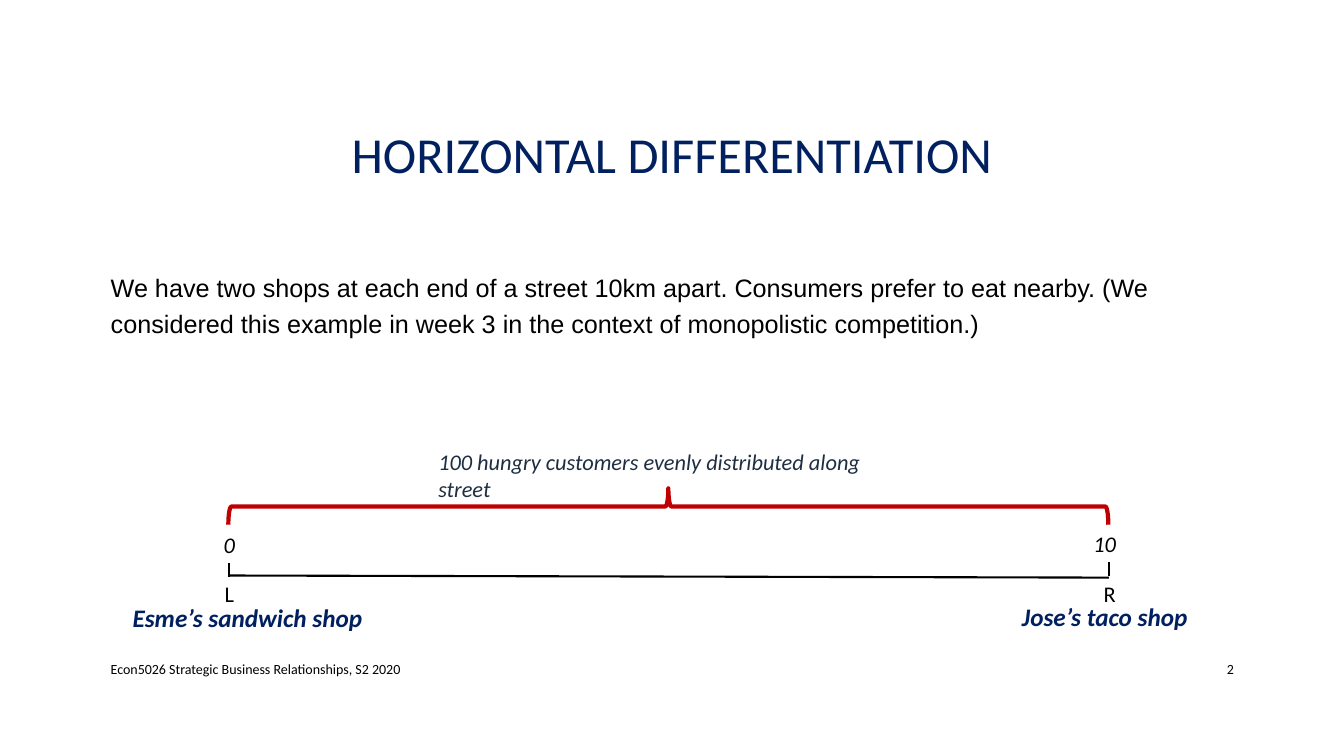
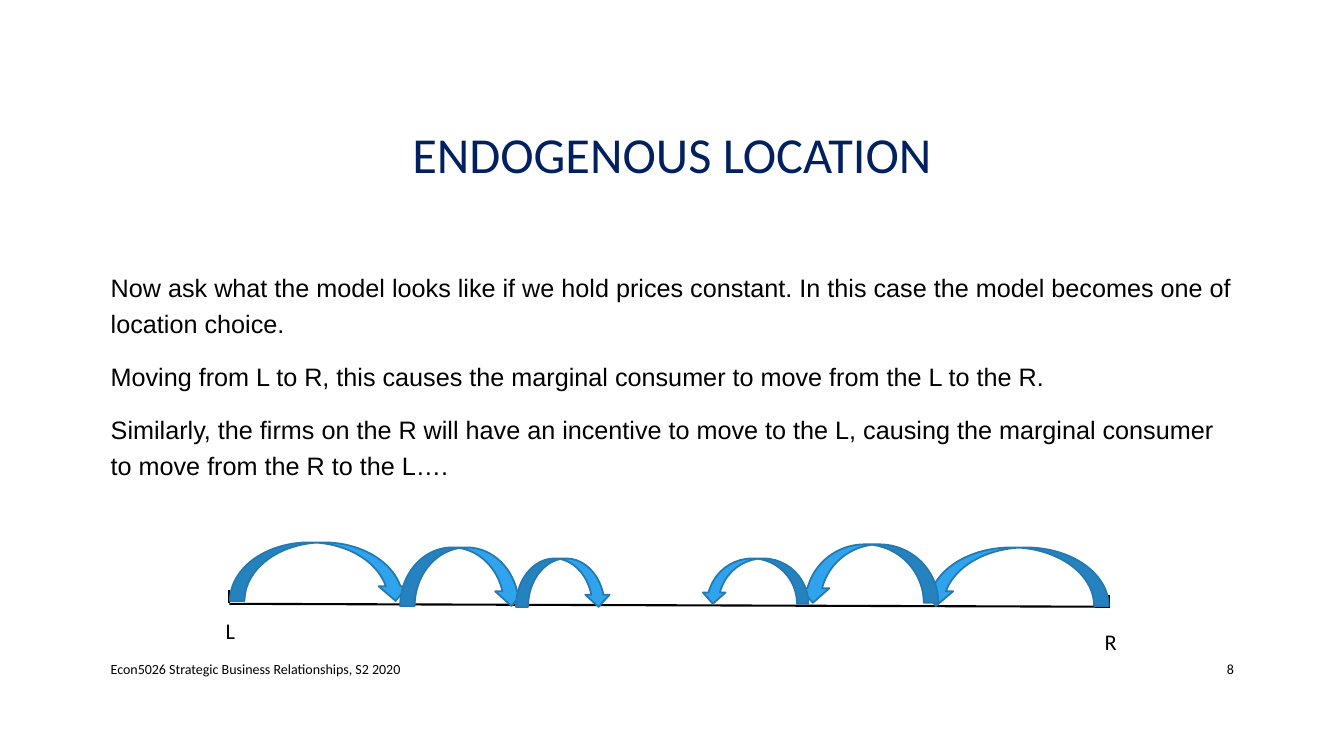
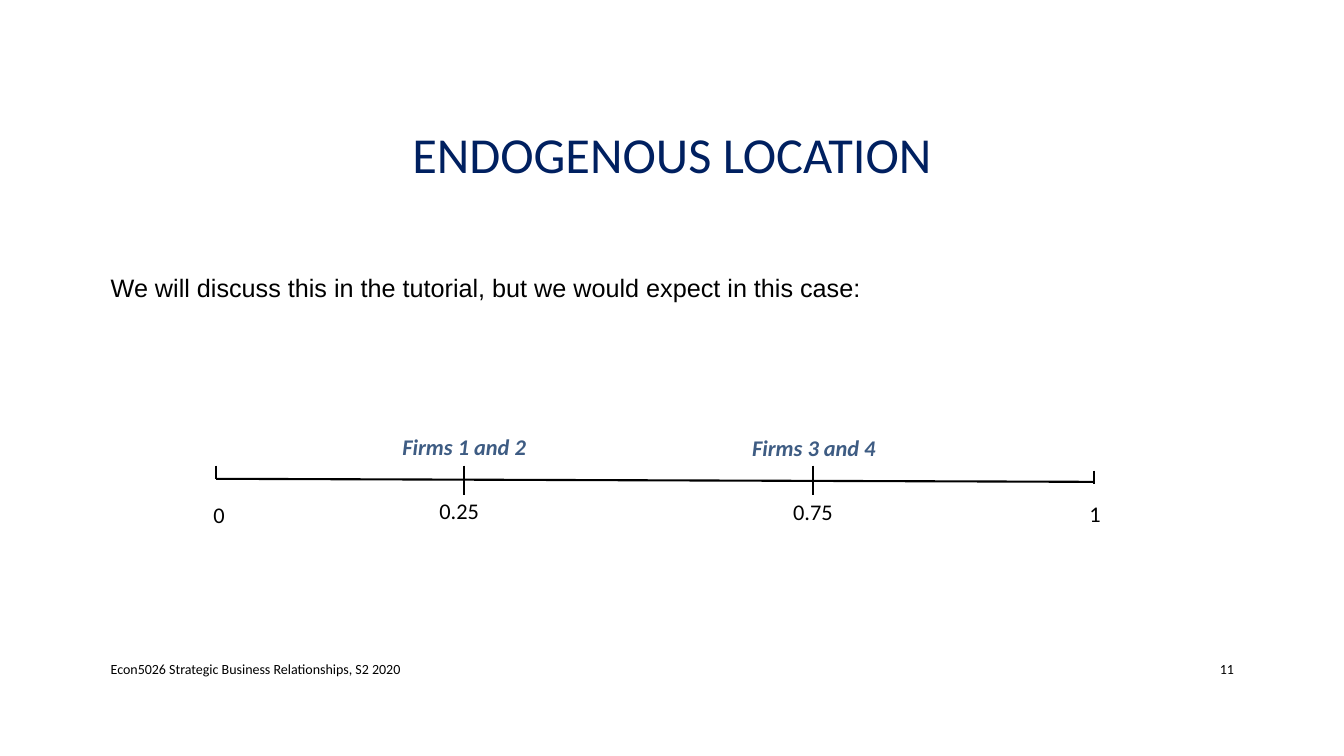
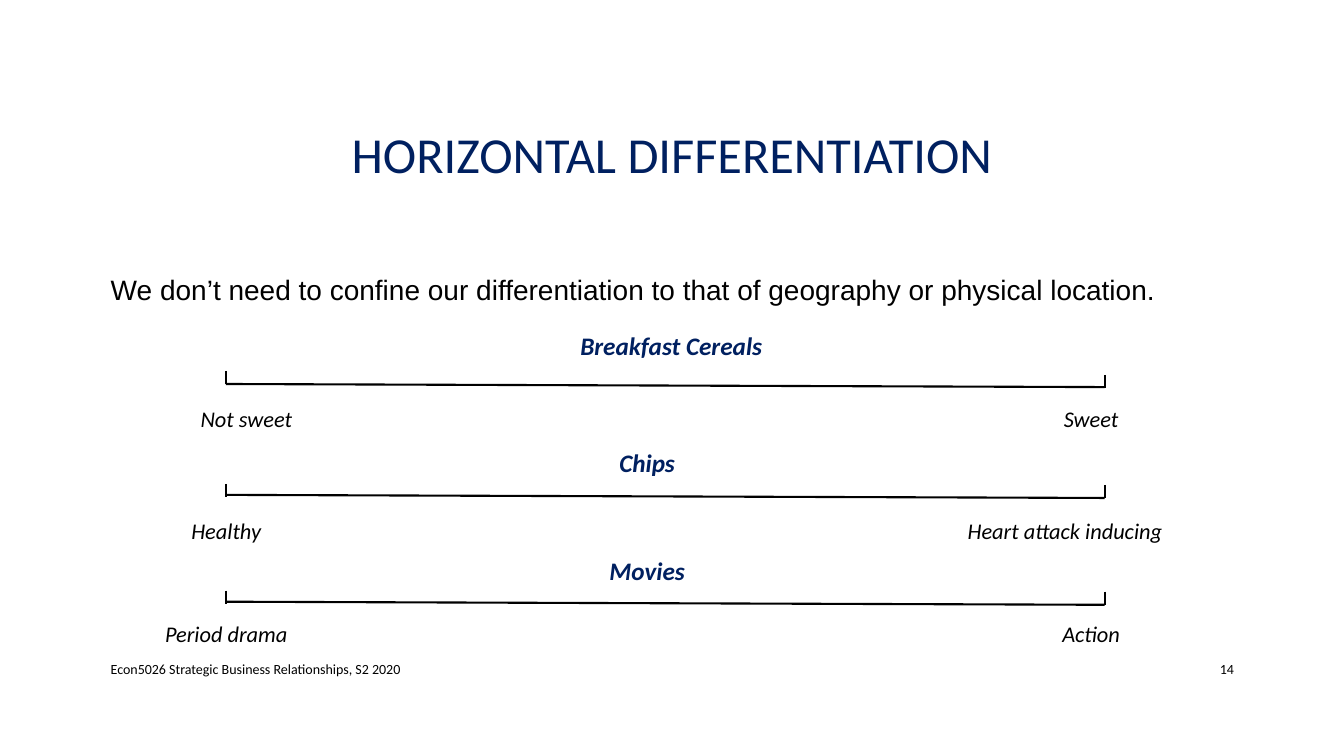
from pptx import Presentation
from pptx.dml.color import RGBColor
from pptx.enum.shapes import MSO_CONNECTOR, MSO_SHAPE
from pptx.enum.text import MSO_ANCHOR as Anchor, PP_ALIGN as Align
from pptx.oxml.ns import qn
from pptx.util import Pt
from lxml import etree

COLORS = {
    "navy": "002060", "black": "000000", "slate": "1F2E41", "steel": "3E5C83",
    "red": "C00000", "arrow": "2FA3EE", "arrow_line": "2379B0",
}
FOOTER = "Econ5026 Strategic Business Relationships, S2 2020"
TICK = 9.4

PLAIN = dict(size=16)
ITALIC = dict(size=16, italic=True, align=Align.CENTER)
CAPTION = dict(size=16, italic=True, color="slate")
FIRMS = dict(size=16, bold=True, italic=True, color="steel", align=Align.CENTER)
HEADING = dict(size=18, bold=True, italic=True, color="navy", align=Align.CENTER)


def add_text(slide, text, left, top, width, height, *, size, font="Calibri",
             color="black", bold=False, italic=False, align=Align.LEFT,
             anchor=Anchor.TOP, line_spacing=1.0, space_before=0):
    """Add a text box; each line of text becomes a paragraph."""
    box = slide.shapes.add_textbox(Pt(left), Pt(top), Pt(width), Pt(height))
    frame = box.text_frame
    frame.word_wrap = True
    frame.vertical_anchor = anchor
    frame.text = text
    for paragraph in frame.paragraphs:
        paragraph.alignment = align
        paragraph.line_spacing = line_spacing
        paragraph.space_before = Pt(space_before)
        style = paragraph.runs[0].font
        style.name, style.size = font, Pt(size)
        style.bold, style.italic = bold, italic
        style.color.rgb = RGBColor.from_string(COLORS[color])


def add_line(slide, x1, y1, x2, y2):
    line = slide.shapes.add_connector(
        MSO_CONNECTOR.STRAIGHT, Pt(x1), Pt(y1), Pt(x2), Pt(y2))
    line.line.width = Pt(1.5)
    line.line.color.rgb = RGBColor.from_string(COLORS["black"])
    etree.SubElement(line._element.spPr, qn("a:effectLst"))


presentation = Presentation()
presentation.slide_width, presentation.slide_height = Pt(960), Pt(540)

# Title, page number, body size, space before paragraphs, body
pages = [
    ("HORIZONTAL DIFFERENTIATION", "2", 18, 6,
     "We have two shops at each end of a street 10km apart. Consumers prefer to "
     "eat nearby. (We considered this example in week 3 in the context of "
     "monopolistic competition.)"),
    ("ENDOGENOUS LOCATION", "8", 18, 12,
     "Now ask what the model looks like if we hold prices constant. In this case "
     "the model becomes one of location choice.\n"
     "Moving from L to R, this causes the marginal consumer to move from the L "
     "to the R.\n"
     "Similarly, the firms on the R will have an incentive to move to the L, "
     "causing the marginal consumer to move from the R to the L…."),
    ("ENDOGENOUS LOCATION", "11", 18, 12,
     "We will discuss this in the tutorial, but we would expect in this case:"),
    ("HORIZONTAL DIFFERENTIATION", "14", 20, 6,
     "We don’t need to confine our differentiation to that of geography or "
     "physical location."),
]
slides = []
for title, number, body_size, space, body in pages:
    slide = presentation.slides.add_slide(presentation.slide_layouts[6])
    add_text(slide, title, 72, 49, 816, 126, size=36, color="navy",
             align=Align.CENTER, anchor=Anchor.MIDDLE, line_spacing=0.9)
    add_text(slide, body, 72, 186.5, 816, 269, size=body_size, font="Arial",
             line_spacing=1.2, space_before=space)
    add_text(slide, FOOTER, 72, 463, 526, 29, size=10, anchor=Anchor.MIDDLE)
    add_text(slide, number, 828, 463, 60.5, 29, size=10, align=Align.RIGHT,
             anchor=Anchor.MIDDLE)
    slides.append(slide)
street, moves, firms, products = slides

# Axes: slide, left, right, left y, right y, top of left tick, top of right tick
axes = [
    (street, 163.4, 792, 411.1, 412.6, 402.5, 401.8),
    (moves, 163.8, 792, 431.3, 433.4, 421.2, 424.8),
    (firms, 154.4, 781.6, 342, 344.2, 332.6, 336.2),
    (products, 161.3, 789.1, 274.3, 276.5, 265, 267.8),
    (products, 161.3, 789.1, 353.5, 355.7, 345.6, 346.3),
    (products, 161.3, 789.1, 429.8, 432, 421.9, 422.6),
]
for slide, left, right, left_y, right_y, left_tick, right_tick in axes:
    add_line(slide, left, left_y, right, right_y)
    add_line(slide, left, left_tick, left, left_tick + TICK)
    add_line(slide, right, right_tick, right, right_tick + TICK)
for x in (331.2, 581):
    add_line(firms, x, 332.6, x, 353.5)

# Labels: slide, text, left, top, width, style
labels = [
    (street, "R", 781.2, 411.1, 31, PLAIN),
    (street, "L", 153.4, 411.1, 20.2, PLAIN),
    (street, "100 hungry customers evenly distributed along street",
     306, 316.8, 343.4, CAPTION),
    (street, "0", 147.6, 375.8, 32.4, ITALIC),
    (street, "10", 771.8, 375.1, 34.6, ITALIC),
    (street, "Esme’s sandwich shop", 86.4, 427, 180.7, HEADING),
    (street, "Jose’s taco shop", 712.1, 426.3, 154, HEADING),
    (moves, "L", 154.1, 437, 20.2, PLAIN),
    (moves, "R", 781.9, 445, 20.2, PLAIN),
    (firms, "0", 145.4, 354.2, 20.2, PLAIN),
    (firms, "1", 771.1, 353.5, 20.2, PLAIN),
    (firms, "0.25", 306.7, 351.4, 46.8, PLAIN),
    (firms, "0.75", 559.4, 352.1, 46.8, PLAIN),
    (firms, "Firms 1 and 2", 272.9, 306, 117.4, FIRMS),
    (firms, "Firms 3 and 4", 522.7, 306.7, 117.4, FIRMS),
    (products, "Breakfast Cereals", 402.5, 232.6, 154, HEADING),
    (products, "Not sweet", 112.3, 285.8, 127.4, ITALIC),
    (products, "Sweet", 715.7, 285.8, 127.4, ITALIC),
    (products, "Chips", 385.2, 316.1, 154, HEADING),
    (products, "Healthy", 97.9, 365.8, 127.4, ITALIC),
    (products, "Heart attack inducing", 668.9, 365.8, 183.6, ITALIC),
    (products, "Movies", 385.2, 393.1, 154, HEADING),
    (products, "Period drama", 97.9, 439.2, 127.4, ITALIC),
    (products, "Action", 715.7, 439.2, 127.4, ITALIC),
]
for slide, text, left, top, width, style in labels:
    add_text(slide, text, left, top, width, style["size"] + 10.6, **style)

brace = street.shapes.add_shape(
    MSO_SHAPE.LEFT_BRACE, Pt(464.4), Pt(47.5), Pt(26), Pt(628.6))
brace.rotation = 90
brace.shadow.inherit = False
brace.fill.background()
brace.line.width = Pt(3)
brace.line.color.rgb = RGBColor.from_string(COLORS["red"])

# Jumps: left, top, width, height, whether the jump goes leftwards
jumps = [
    (164.2, 387.4, 128.9, 41.8, False),
    (658.1, 391, 133.9, 41.8, True),
    (285.8, 391, 90, 41.8, False),
    (570.2, 388.8, 100.1, 41.8, True),
    (368.6, 398.9, 67.7, 34.6, False),
    (501.1, 398.9, 76.3, 32.4, True),
]
for left, top, width, height, leftwards in jumps:
    arrow = moves.shapes.add_shape(
        MSO_SHAPE.CURVED_DOWN_ARROW, Pt(left), Pt(top), Pt(width), Pt(height))
    arrow.shadow.inherit = False
    arrow.fill.solid()
    arrow.fill.fore_color.rgb = RGBColor.from_string(COLORS["arrow"])
    arrow.line.width = Pt(1.25)
    arrow.line.color.rgb = RGBColor.from_string(COLORS["arrow_line"])
    if leftwards:
        arrow._element.spPr.find(qn("a:xfrm")).set("flipH", "1")

presentation.save("out.pptx")
